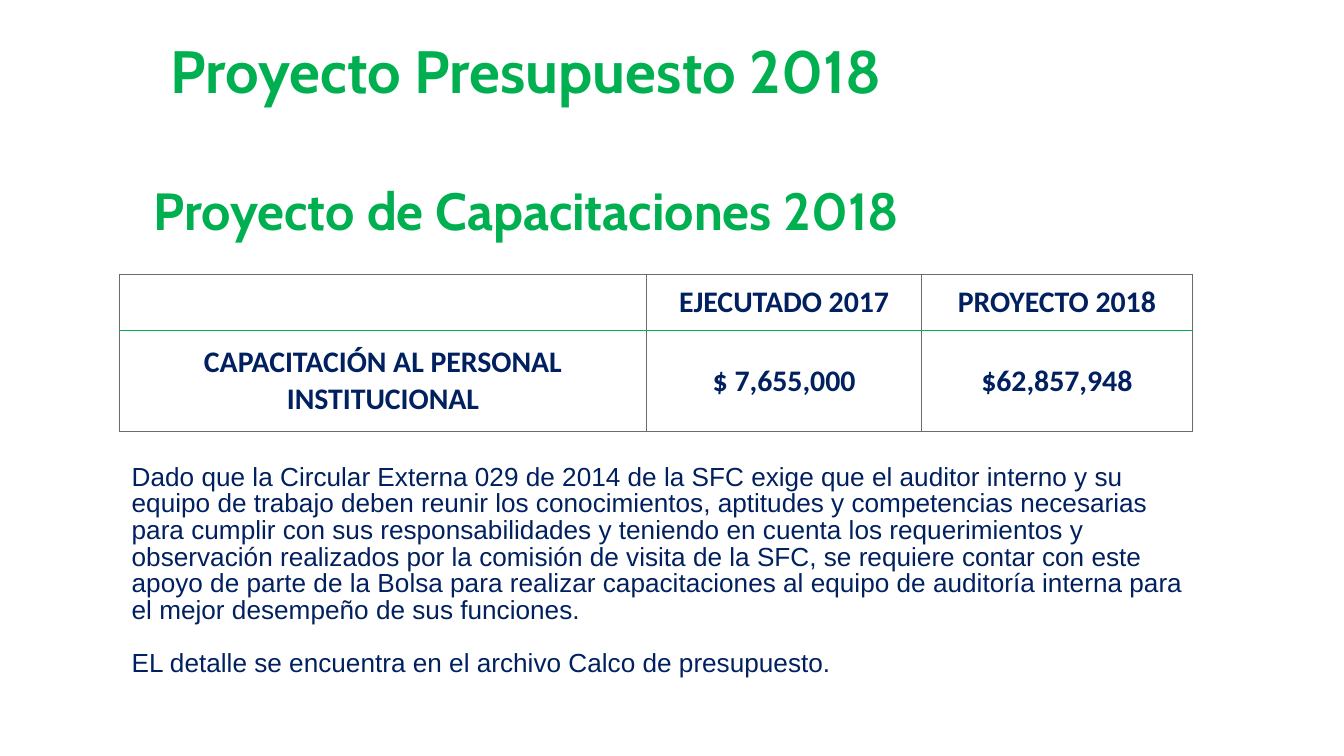
"""Builds the 2018 training budget slide."""
import pptx
import pptx.util
import pptx.dml.color
import pptx.enum.text
import pptx.oxml
import pptx.oxml.ns
from pptx.util import Inches, Pt

GREEN, NAVY, GRAY = "00B050", "002060", "6B6B6B"


def color(value):
    return pptx.dml.color.RGBColor.from_string(value)


class SlideBuilder:
    heading_font, table_font, body_font = "Cabin", "Calibri", "Arial"
    line_spacing = 0.85

    def __init__(self, presentation):
        self.slide = presentation.slides.add_slide(presentation.slide_layouts[5])

    def format_frame(self, frame):
        frame.word_wrap = True
        frame.auto_size = pptx.enum.text.MSO_AUTO_SIZE.NONE
        frame.vertical_anchor = pptx.enum.text.MSO_ANCHOR.TOP
        frame.margin_left = frame.margin_right = 0
        frame.margin_top = frame.margin_bottom = 0

    def format_paragraph(self, paragraph, font, size, fill, bold, centered):
        alignments = pptx.enum.text.PP_ALIGN
        paragraph.alignment = alignments.CENTER if centered else alignments.LEFT
        paragraph.font.name = font
        paragraph.font.size = Pt(size)
        paragraph.font.bold = bold
        paragraph.font.color.rgb = color(fill)

    def heading(self, shape, text, top, size):
        shape.left, shape.top = Inches(0.76), Inches(top)
        shape.width, shape.height = Inches(6.31), Inches(0.4)
        self.format_frame(shape.text_frame)
        shape.text_frame.text = text
        paragraph = shape.text_frame.paragraphs[0]
        paragraph.line_spacing = self.line_spacing
        self.format_paragraph(paragraph, self.heading_font, size, GREEN, True, True)

    def title(self, text, top, size):
        self.heading(self.slide.shapes.title, text, top, size)

    def subtitle(self, text, top, size):
        self.heading(self.slide.shapes.add_textbox(0, 0, 0, 0), text, top, size)

    def body(self, texts, left, top, width, height):
        shape = self.slide.shapes.add_textbox(
            Inches(left), Inches(top), Inches(width), Inches(height))
        self.format_frame(shape.text_frame)
        shape.text_frame.text = "\n".join(texts)
        for index, paragraph in enumerate(shape.text_frame.paragraphs):
            paragraph.line_spacing = self.line_spacing
            paragraph.space_before = Pt(14 if index else 0)
            paragraph._p.get_or_add_pPr().set("marL", str(Inches(0.09)))
            self.format_paragraph(paragraph, self.body_font, 14, NAVY, False, False)

    def border(self, cell, side, fill):
        namespace = pptx.oxml.ns.nsdecls("a")
        line = pptx.oxml.parse_xml(
            f'<a:{side} {namespace} w="6350"><a:solidFill>'
            f'<a:srgbClr val="{fill}"/></a:solidFill></a:{side}>')
        cell._tc.get_or_add_tcPr().append(line)

    def table(self, rows, left, top, widths, heights):
        table = self.slide.shapes.add_table(
            len(rows), len(widths), Inches(left), Inches(top),
            Inches(sum(widths)), Inches(sum(heights))).table
        table.first_row = table.horz_banding = False
        for column, width in zip(table.columns, widths):
            column.width = Inches(width)
        for row_index, (row, height) in enumerate(zip(rows, heights)):
            table.rows[row_index].height = Inches(height)
            for column_index, text in enumerate(row):
                self.cell(table.cell(row_index, column_index), text, row_index)

    def cell(self, cell, text, row_index):
        cell.margin_left = cell.margin_right = 0
        cell.margin_top = cell.margin_bottom = 0
        cell.vertical_anchor = pptx.enum.text.MSO_ANCHOR.MIDDLE
        cell.text = text
        self.format_paragraph(
            cell.text_frame.paragraphs[0], self.table_font, 16, NAVY, True, True)
        top, bottom = (GREEN, GRAY) if row_index else (GRAY, GREEN)
        for side, fill in (("lnL", GRAY), ("lnR", GRAY), ("lnT", top), ("lnB", bottom)):
            self.border(cell, side, fill)
        cell.fill.background()


def main():
    presentation = pptx.Presentation()
    presentation.slide_width = Inches(10)
    presentation.slide_height = presentation.slide_width * 9 // 16
    builder = SlideBuilder(presentation)
    builder.title("Proyecto Presupuesto 2018", 0.33, 32)
    builder.table(
        [["", "EJECUTADO 2017", "PROYECTO 2018"],
         ["CAPACITACIÓN AL PERSONAL INSTITUCIONAL", " $ 7,655,000 ", " $62,857,948 "]],
        0.89, 2.04, [3.92, 2.05, 2.01], [0.42, 0.75])
    builder.subtitle("Proyecto de Capacitaciones 2018", 1.4, 28)
    builder.body(
        ["Dado que la Circular Externa 029 de 2014 de la SFC exige que el auditor "
         "interno y su equipo de trabajo deben reunir los conocimientos, aptitudes y "
         "competencias necesarias para cumplir con sus responsabilidades y teniendo en "
         "cuenta los requerimientos y observación realizados por la comisión de visita "
         "de la SFC, se requiere contar con este apoyo de parte de la Bolsa para "
         "realizar capacitaciones al equipo de auditoría interna para el mejor "
         "desempeño de sus funciones.",
         "EL detalle se encuentra en el archivo Calco de presupuesto."],
        0.89, 3.46, 7.97, 1.59)
    presentation.save("out.pptx")


if __name__ == "__main__":
    main()
